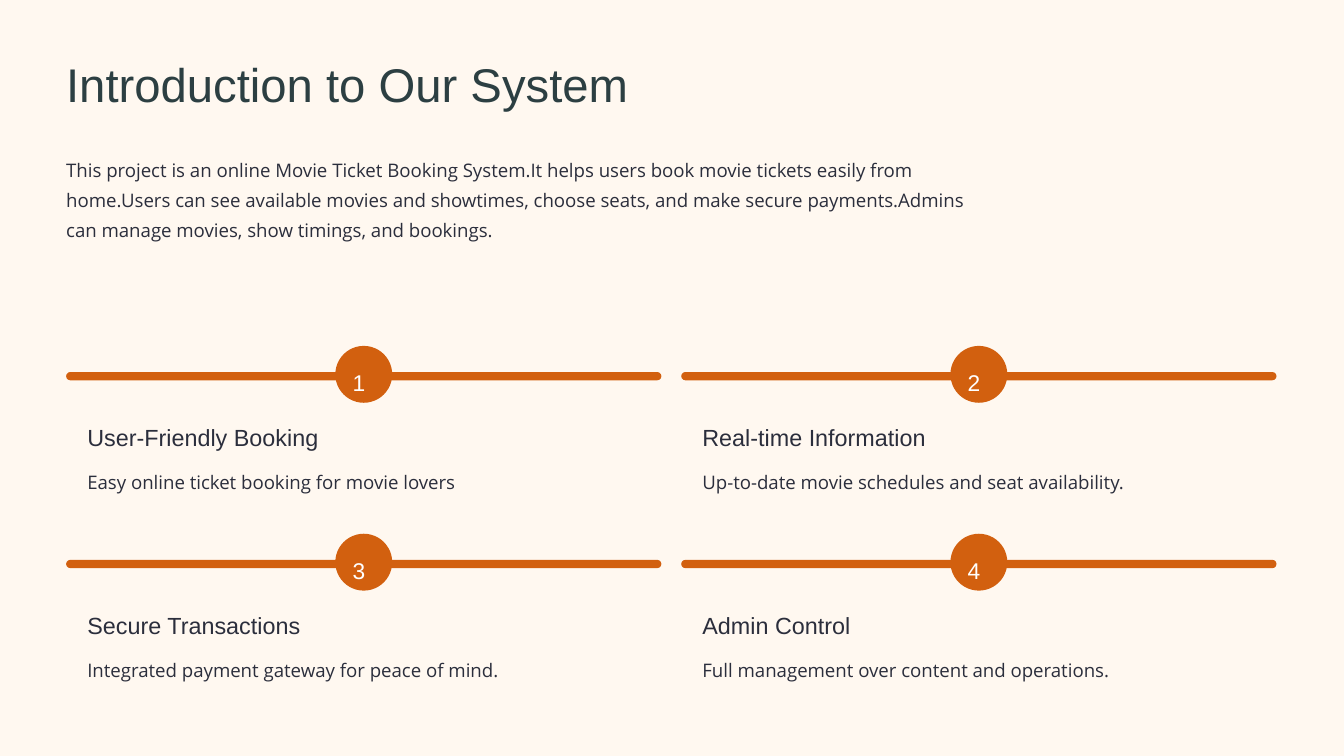
from lxml.etree import SubElement
from pptx import Presentation
from pptx.dml.color import RGBColor
from pptx.enum.shapes import MSO_SHAPE
from pptx.enum.text import MSO_ANCHOR, MSO_AUTO_SIZE, PP_ALIGN
from pptx.oxml.ns import qn
from pptx.util import Cm, Pt

CREAM = RGBColor(0xFF, 0xF8, 0xF0)
ORANGE = RGBColor(0xD2, 0x60, 0x0F)
TEAL = RGBColor(0x2C, 0x3F, 0x42)
INK = RGBColor(0x2B, 0x2E, 0x3C)
WHITE = RGBColor(0xFF, 0xFF, 0xFF)

# Text styles: font name, size, line spacing, colour
TITLE = ("Arial", 40.5, 51, TEAL)
BODY = ("Open Sans", 16, 26, INK)
HEADING = ("Arial", 20, 25.5, INK)
NUMBER = ("Arial", 19.5, 31, WHITE)

FRAME_FORMAT = {
    "word_wrap": True,
    "auto_size": MSO_AUTO_SIZE.NONE,
    "vertical_anchor": MSO_ANCHOR.TOP,
    "margin_left": 0,
    "margin_top": 0,
    "margin_right": 0,
    "margin_bottom": 0,
}

INTRO = (
    "This project is an online Movie Ticket Booking System."
    "It helps users book movie tickets easily from home."
    "Users can see available movies and showtimes, choose seats, and make secure payments."
    "Admins can manage movies, show timings, and bookings."
)
FEATURES = [
    ("User-Friendly Booking", "Easy online ticket booking for movie lovers"),
    ("Real-time Information", "Up-to-date movie schedules and seat availability."),
    ("Secure Transactions", "Integrated payment gateway for peace of mind."),
    ("Admin Control", "Full management over content and operations."),
]

# Feature grid, in centimetres
LEFT, TOP = 2, 11.25
COLUMN_WIDTH, COLUMN_PITCH, ROW_PITCH = 18, 18.6, 5.68
BAR_HEIGHT, BADGE_SIZE = 0.25, 1.72
TEXT_INDENT = 0.64


def apply(target, values):
    for name, value in values.items():
        setattr(target, name, value)


def write(holder, text, style, **frame_changes):
    font_name, size, spacing, colour = style
    frame = holder.text_frame
    apply(frame, FRAME_FORMAT | frame_changes)
    frame.text = text
    paragraph = frame.paragraphs[0]
    apply(paragraph, {
        "alignment": PP_ALIGN.LEFT,
        "line_spacing": Pt(spacing),
        "space_before": Pt(0),
    })
    font = paragraph.runs[0].font
    apply(font, {"name": font_name, "size": Pt(size)})
    font.color.rgb = colour


def place(placeholder, left, top, width, height):
    apply(placeholder, {
        "left": Cm(left), "top": Cm(top),
        "width": Cm(width), "height": Cm(height),
    })


def remove_bullet(placeholder):
    properties = placeholder.text_frame.paragraphs[0]._p.get_or_add_pPr()
    for name in ("marL", "indent"):
        properties.set(name, "0")
    SubElement(properties, qn("a:buNone"))


def add_orange_shape(slide, preset, left, top, width, height):
    shape = slide.shapes.add_shape(preset, Cm(left), Cm(top), Cm(width), Cm(height))
    shape.shadow.inherit = False
    shape.fill.solid()
    shape.fill.fore_color.rgb = ORANGE
    shape.line.fill.background()
    return shape


def add_label(slide, left, top, text, style):
    label = slide.shapes.add_textbox(Cm(left), Cm(top), Cm(16.74), Cm(0.9))
    write(label, text, style)


def add_feature(slide, index, heading, description):
    row, column = divmod(index, 2)
    left = LEFT + column * COLUMN_PITCH
    top = TOP + row * ROW_PITCH

    # Bar with its numbered badge
    bar = add_orange_shape(slide, MSO_SHAPE.ROUNDED_RECTANGLE,
                           left, top, COLUMN_WIDTH, BAR_HEIGHT)
    bar.adjustments[0] = 0.5
    badge = add_orange_shape(slide, MSO_SHAPE.OVAL,
                             left + (COLUMN_WIDTH - BADGE_SIZE) / 2, top - 0.79,
                             BADGE_SIZE, BADGE_SIZE)
    # The text area of an oval already starts 0.25 cm inside its box
    write(badge, str(index + 1), NUMBER, margin_left=Cm(0.27), margin_top=Cm(0.18))

    # Heading and description
    add_label(slide, left + TEXT_INDENT, top + 1.5, heading, HEADING)
    add_label(slide, left + TEXT_INDENT, top + 2.76, description, BODY)


def main():
    deck = Presentation()
    deck.slide_width, deck.slide_height = Cm(40.64), Cm(22.86)
    slide = deck.slides.add_slide(deck.slide_layouts[1])
    slide.background.fill.solid()
    slide.background.fill.fore_color.rgb = CREAM

    # Title and introduction
    title, intro = slide.placeholders
    place(title, LEFT, 1.6, 18.34, 1.8)
    write(title, "Introduction to Our System", TITLE)
    place(intro, LEFT, 4.55, 27.94, 5.77)
    write(intro, INTRO, BODY)
    remove_bullet(intro)

    # Numbered features
    for index, (heading, description) in enumerate(FEATURES):
        add_feature(slide, index, heading, description)

    deck.save("out.pptx")


if __name__ == "__main__":
    main()
